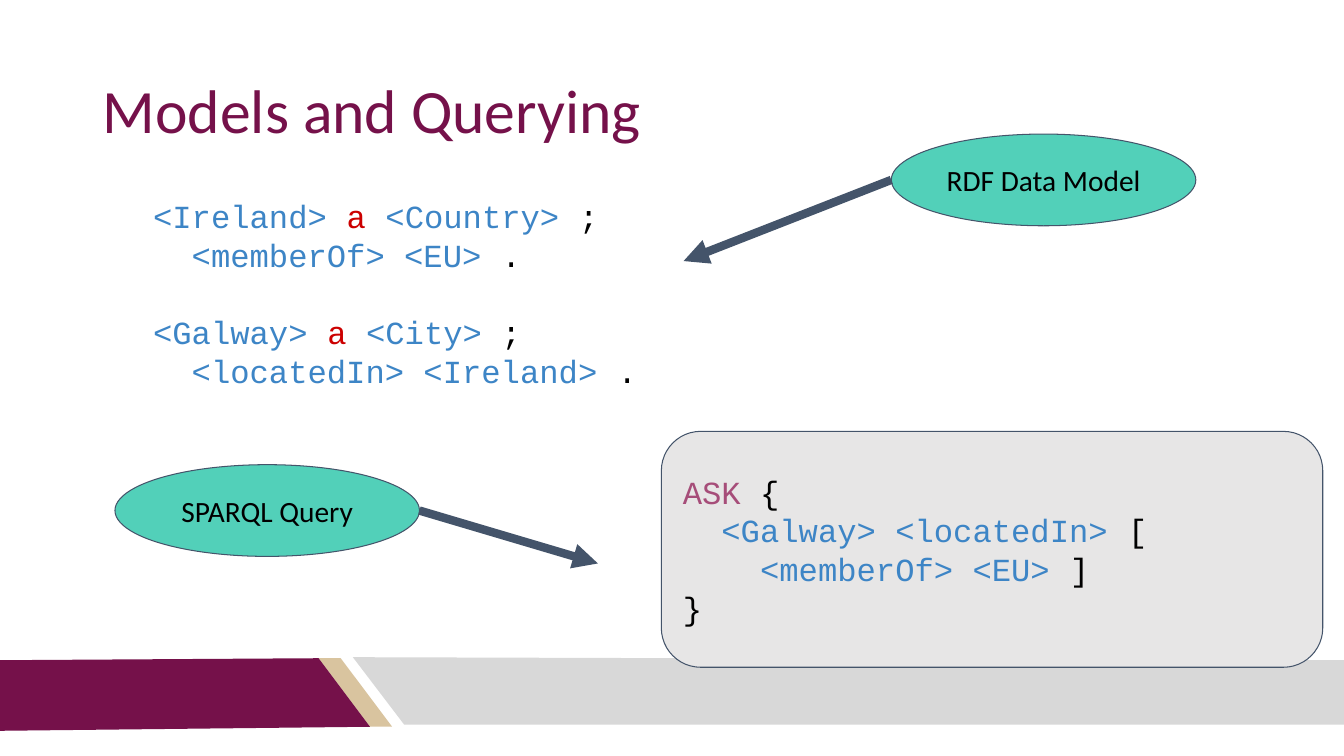
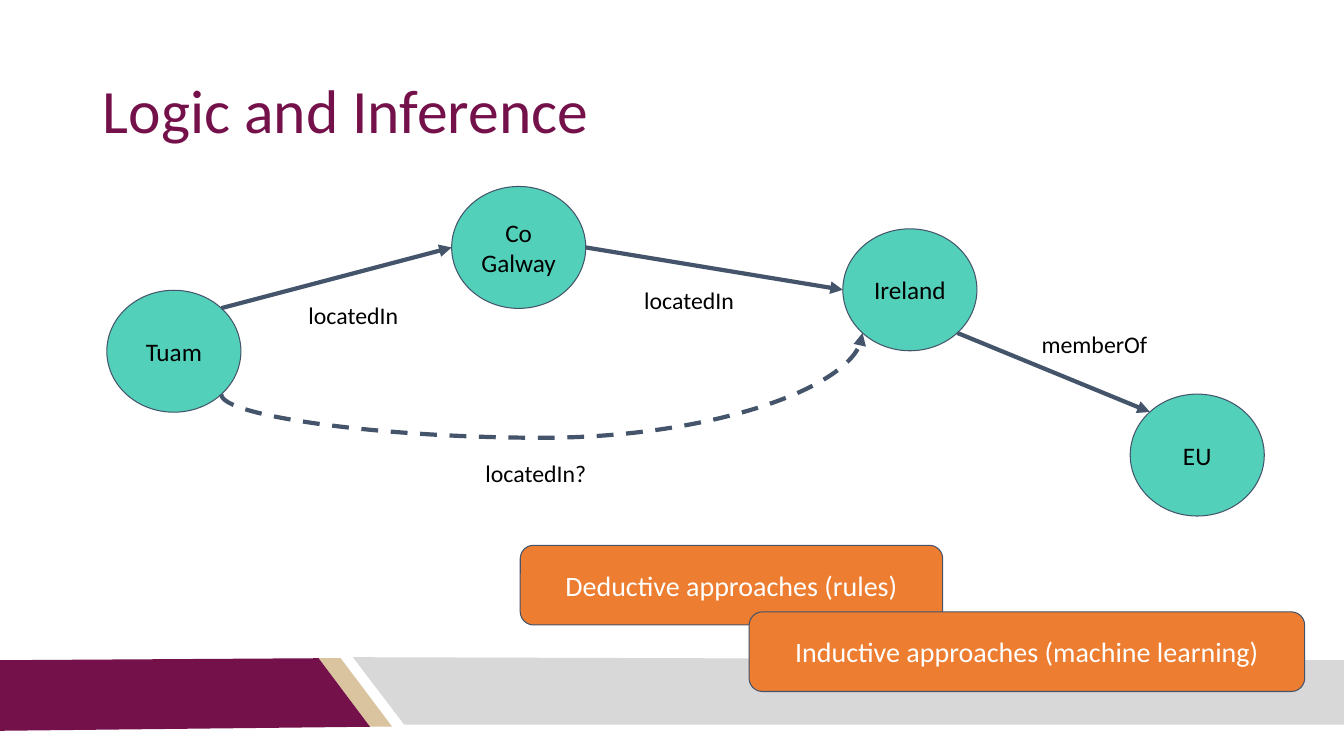
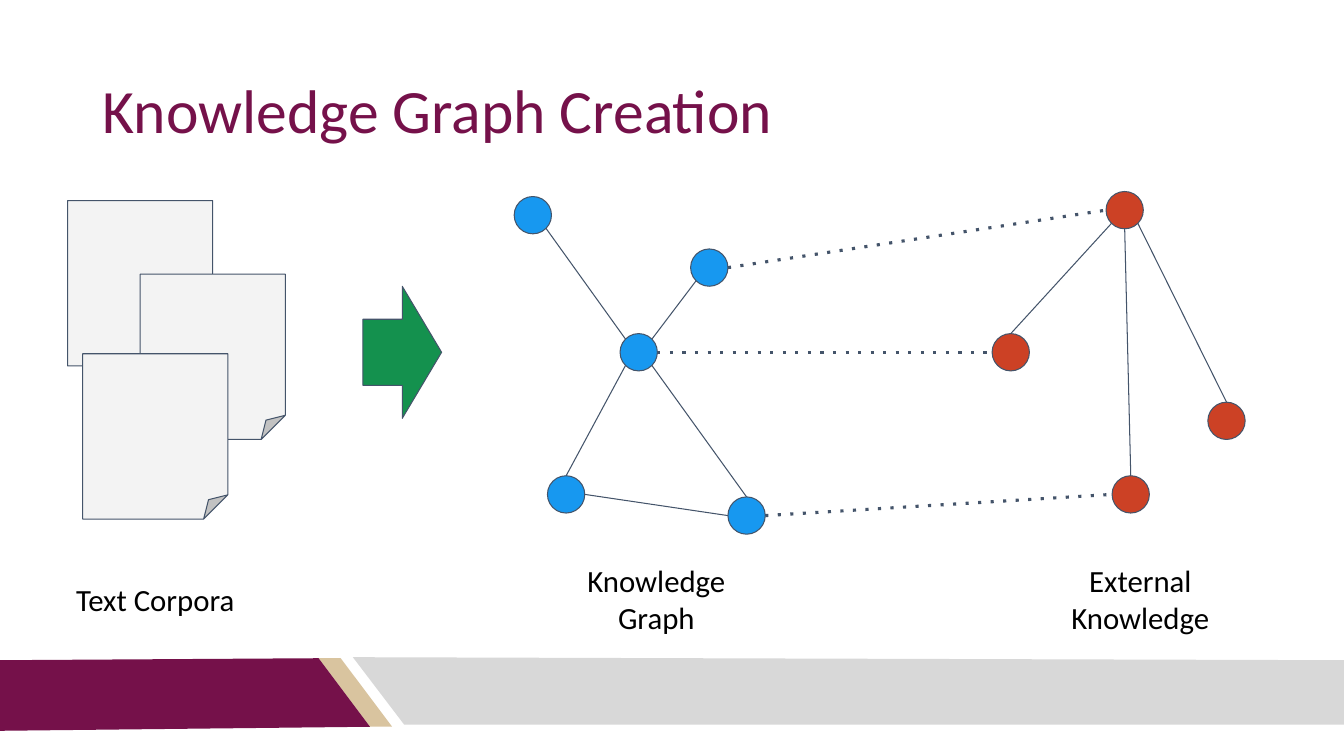
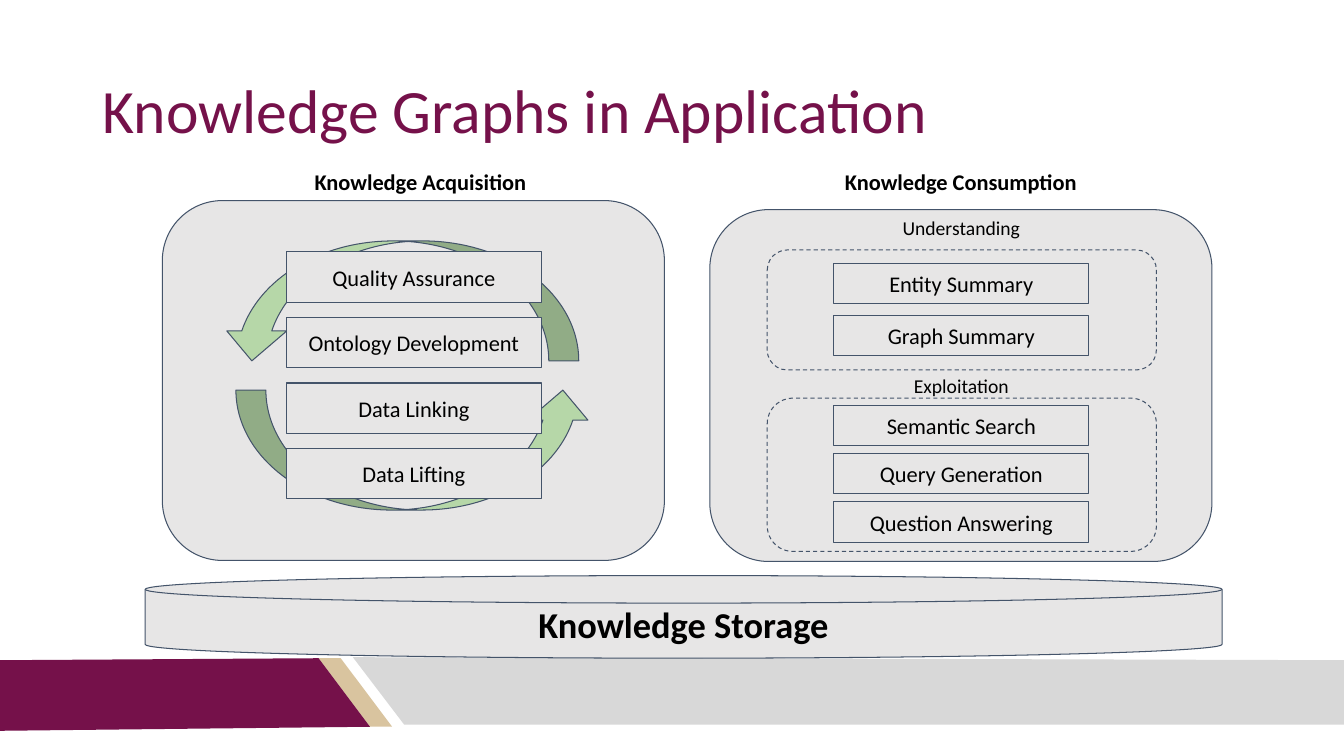
from math import cos, radians, sin
from typing import NamedTuple

from lxml.etree import SubElement
from pptx import Presentation
from pptx.dml.color import RGBColor
from pptx.enum.shapes import MSO_CONNECTOR, MSO_SHAPE
from pptx.enum.text import MSO_ANCHOR, MSO_AUTO_SIZE, PP_ALIGN
from pptx.oxml.ns import qn
from pptx.util import Inches, Pt

# Shared colours
PLUM, SAND, BAND_GREY = "75114A", "D9C49F", "D8D8D8"
SLATE, BLACK, WHITE = "44546A", "000000", "FFFFFF"
TEAL, ORANGE, PANEL_GREY, PAPER = "52D0B9", "ED7D31", "E7E6E6", "F3F3F3"
GREEN, LEAF, BLUE, BRICK = "14914E", "B6D7A8", "1798F0", "CC4125"
CODE_BLUE, CODE_RED, CODE_PINK = "3D85C6", "CC0000", "A64D79"

# Shared formats
FONT, CODE_FONT = "Calibri", "Courier New"
FRAME_FORMAT = {
    "word_wrap": True,
    "auto_size": MSO_AUTO_SIZE.NONE,
    "margin_left": Inches(0.1),
    "margin_right": Inches(0.1),
    "margin_top": Inches(0.1),
    "margin_bottom": Inches(0.1),
}
FOOTER_BANDS = [
    (SAND, [(3.16, 6.53), (3.38, 6.53), (3.89, 7.21), (3.67, 7.21)]),
    (PLUM, [(0, 6.55), (3.16, 6.53), (3.67, 7.21), (0, 7.25)]),
    (BAND_GREY, [(3.5, 6.52), (13.33, 6.55), (13.33, 7.19), (4.01, 7.19)]),
]

# Connection sites of an ellipse, counter-clockwise in steps of 45 degrees
(TOP, TOP_LEFT, LEFT, BOTTOM_LEFT,
 BOTTOM, BOTTOM_RIGHT, RIGHT, TOP_RIGHT) = range(8)


class Box(NamedTuple):
    left: float
    top: float
    width: float
    height: float

    def inner(self, x, y, width, height):
        """Return a box placed relative to this one."""
        return Box(self.left + x, self.top + y, width, height)

    def lengths(self):
        return [Inches(value) for value in self]


def color(hex_string):
    return RGBColor.from_string(hex_string)


def set_format(target, values):
    for name, value in values.items():
        setattr(target, name, value)


def paint(shape, fill, line=SLATE):
    """Set fill and line; None leaves either one out."""
    shape.shadow.inherit = False
    if fill:
        shape.fill.solid()
        shape.fill.fore_color.rgb = color(fill)
    else:
        shape.fill.background()
    if line:
        shape.line.color.rgb = color(line)
        shape.line.width = Pt(0.75)
    else:
        shape.line.fill.background()


def add_line_detail(shape, tag, **attributes):
    """Append a dash or an arrowhead to the line of a shape."""
    SubElement(shape.element.spPr.find(qn("a:ln")), qn(tag), attributes)


def write(shape, lines, size, font=FONT, bold=False,
          align=PP_ALIGN.CENTER, anchor=MSO_ANCHOR.MIDDLE):
    """Fill a shape with lines, each a list of (text, colour) runs."""
    frame = shape.text_frame
    set_format(frame, FRAME_FORMAT)
    frame.vertical_anchor = anchor
    for index, runs in enumerate(lines):
        paragraph = frame.add_paragraph() if index else frame.paragraphs[0]
        paragraph.alignment = align
        for text, hex_string in runs:
            run = paragraph.add_run()
            run.text = text
            set_format(run.font, {"name": font, "size": Pt(size), "bold": bold})
            run.font.color.rgb = color(hex_string)
    return frame


def add_shape(slide, kind, box, fill, text="", size=16, text_color=BLACK,
              bold=False):
    shape = slide.shapes.add_shape(kind, *box.lengths())
    paint(shape, fill)
    if text:
        write(shape, [[(text, text_color)]], size, bold=bold)
    return shape


def add_label(slide, box, text, size, bold=False):
    label = slide.shapes.add_textbox(*box.lengths())
    write(label, [[(text, BLACK)]], size, bold=bold, anchor=MSO_ANCHOR.TOP)


def site_point(shape, site):
    angle = radians(45 * site)
    x = shape.left + shape.width / 2 * (1 - sin(angle))
    y = shape.top + shape.height / 2 * (1 - cos(angle))
    return round(x), round(y)


def style_connector(connector, width, dash=None, arrow=False):
    connector.line.color.rgb = color(SLATE)
    connector.line.width = Pt(width)
    if dash:
        add_line_detail(connector, "a:prstDash", val=dash)
    if arrow:
        add_line_detail(connector, "a:tailEnd", type="triangle")
    SubElement(connector.element.spPr, qn("a:effectLst"))


def glue(connector, tag, shape, site):
    properties = connector.element.find(".//" + qn("p:cNvCxnSpPr"))
    SubElement(properties, qn(tag), id=str(shape.shape_id), idx=str(site))


def link(slide, start, start_site, end, end_site=None, **style):
    """Join an ellipse to another one, or to a point if there is no end site."""
    if end_site is None:
        end_point = [Inches(value) for value in end]
    else:
        end_point = site_point(end, end_site)
    connector = slide.shapes.add_connector(
        MSO_CONNECTOR.STRAIGHT, *site_point(start, start_site), *end_point)
    glue(connector, "a:stCxn", start, start_site)
    if end_site is not None:
        glue(connector, "a:endCxn", end, end_site)
    style_connector(connector, **style)


def link_below(slide, start, end, depth, **style):
    """Join two ellipses with a curve that dips below the start."""
    x1, y1 = site_point(start, BOTTOM_RIGHT)
    x2, y2 = site_point(end, BOTTOM_LEFT)
    width, height = y1 - y2, x2 - x1
    left = (x1 + x2 - width) // 2
    top = (y1 + y2 - height) // 2
    connector = slide.shapes.add_connector(
        MSO_CONNECTOR.CURVE, left, top, left + width, top + height)
    connector.rotation = 270
    geometry = connector.element.spPr.find(qn("a:prstGeom"))
    guides = geometry.find(qn("a:avLst"))
    if guides is None:
        guides = SubElement(geometry, qn("a:avLst"))
    bend = round(-100000 * Inches(depth) / width)
    SubElement(guides, qn("a:gd"), name="adj1", fmla=f"val {bend}")
    style_connector(connector, **style)


# Frame of every slide
def add_footer(slide):
    for fill, points in FOOTER_BANDS:
        start, *others = [(Inches(x), Inches(y)) for x, y in points]
        builder = slide.shapes.build_freeform(*start)
        builder.add_line_segments(others, close=True)
        paint(builder.convert_to_shape(), fill, line=None)


def new_slide(presentation, title):
    slide = presentation.slides.add_slide(presentation.slide_layouts[5])
    add_footer(slide)
    placeholder = slide.shapes.title
    box = dict(zip(("left", "top", "width", "height"),
                   Box(0.92, 0.4, 11.5, 1.45).lengths()))
    set_format(placeholder, box)
    frame = write(placeholder, [[(title, PLUM)]], 44, align=PP_ALIGN.LEFT)
    frame.paragraphs[0].line_spacing = 0.9
    return slide


# Slide 1: code samples with callouts
def add_callout(slide, box, text, site, target):
    bubble = add_shape(slide, MSO_SHAPE.OVAL, box, TEAL, text, 21)
    link(slide, bubble, site, target, width=6, arrow=True)


def build_models(presentation):
    slide = new_slide(presentation, "Models and Querying")
    code_format = {"size": 23, "font": CODE_FONT, "align": PP_ALIGN.LEFT}

    data = slide.shapes.add_textbox(*Box(1.42, 1.85, 6.24, 2.52).lengths())
    frame = write(data, [
        [("<Ireland> ", CODE_BLUE), ("a ", CODE_RED),
         ("<Country>", CODE_BLUE), (" ;", BLACK)],
        [("  <memberOf> <EU>", CODE_BLUE), (" .", BLACK)],
        [("<Galway> ", CODE_BLUE), ("a ", CODE_RED),
         ("<City>", CODE_BLUE), (" ;", BLACK)],
        [("  <locatedIn> <Ireland>", CODE_BLUE), (" .", BLACK)],
    ], anchor=MSO_ANCHOR.TOP, **code_format)
    frame.paragraphs[2].space_before = Pt(27.6)

    query = add_shape(slide, MSO_SHAPE.ROUNDED_RECTANGLE,
                      Box(6.56, 4.28, 6.56, 2.34), PANEL_GREY)
    write(query, [
        [("ASK", CODE_PINK), (" {", BLACK)],
        [("  <Galway> <locatedIn>", CODE_BLUE), (" [", BLACK)],
        [("    <memberOf> <EU>", CODE_BLUE), (" ]", BLACK)],
        [("}", BLACK)],
    ], **code_format)

    add_callout(slide, Box(8.84, 1.33, 3.02, 0.91), "RDF Data Model",
                LEFT, (6.78, 2.59))
    add_callout(slide, Box(1.14, 4.61, 3.02, 0.91), "SPARQL Query",
                RIGHT, (5.93, 5.59))


# Slide 2: chain of places and the inferred link
def add_place_graph(slide, box):
    places = {
        name: add_shape(slide, MSO_SHAPE.OVAL, box.inner(x, y, 1.33, 1.21),
                        TEAL, name, 18)
        for name, x, y in [("Tuam", 0, 1.03), ("Co Galway", 3.42, 0),
                           ("Ireland", 7.3, 0.42), ("EU", 10.15, 2.06)]
    }
    for start, start_site, end, end_site in [
        ("Tuam", TOP_RIGHT, "Co Galway", LEFT),
        ("Co Galway", RIGHT, "Ireland", LEFT),
        ("Ireland", BOTTOM_RIGHT, "EU", TOP_LEFT),
    ]:
        link(slide, places[start], start_site, places[end], end_site,
             width=3, arrow=True)
    link_below(slide, places["Tuam"], places["Ireland"], 0.43,
               width=3, dash="dash", arrow=True)
    for text, x, y in [("locatedIn", 1.78, 1.03), ("locatedIn", 5.11, 0.88),
                       ("memberOf", 9.13, 1.32), ("locatedIn?", 3.59, 2.6)]:
        add_label(slide, box.inner(x, y, 1.33, 0.49), text, 17)


def build_inference(presentation):
    slide = new_slide(presentation, "Logic and Inference")
    add_place_graph(slide, Box(1.06, 1.85, 11.48, 3.27))
    for text, box in [
        ("Deductive approaches (rules)", Box(5.16, 5.41, 4.19, 0.79)),
        ("Inductive approaches (machine learning)",
         Box(7.43, 6.07, 5.51, 0.79)),
    ]:
        add_shape(slide, MSO_SHAPE.ROUNDED_RECTANGLE, box, ORANGE, text, 20,
                  WHITE)


# Slide 3: from texts to linked graphs
def add_documents(slide, box):
    for x, y in [(0, 0), (0.72, 0.73), (0.15, 1.52)]:
        add_shape(slide, MSO_SHAPE.FOLDED_CORNER, box.inner(x, y, 1.44, 1.64),
                  PAPER)


def add_graph(slide, box, fill, positions, edges):
    nodes = [add_shape(slide, MSO_SHAPE.OVAL, box.inner(x, y, 0.37, 0.37), fill)
             for x, y in positions]
    for start, start_site, end, end_site in edges:
        link(slide, nodes[start], start_site, nodes[end], end_site, width=0.75)
    return nodes


def build_creation(presentation):
    slide = new_slide(presentation, "Knowledge Graph Creation")
    add_documents(slide, Box(0.67, 1.99, 2.16, 3.16))
    add_shape(slide, MSO_SHAPE.RIGHT_ARROW, Box(3.6, 2.84, 0.78, 1.31), GREEN)

    knowledge = add_graph(
        slide, Box(5.1, 1.95, 2.49, 3.35), BLUE,
        [(0, 0), (1.75, 0.52), (1.05, 1.36), (0.33, 2.77), (2.12, 2.98)],
        [(2, TOP_LEFT, 0, BOTTOM_RIGHT), (2, TOP_RIGHT, 1, BOTTOM_LEFT),
         (2, BOTTOM_LEFT, 3, TOP), (2, BOTTOM_RIGHT, 4, TOP),
         (3, RIGHT, 4, LEFT)])
    external = add_graph(
        slide, Box(9.84, 1.9, 2.51, 3.19), BRICK,
        [(1.13, 0), (0, 1.41), (2.14, 2.09), (1.19, 2.82)],
        [(0, BOTTOM_LEFT, 1, TOP), (0, BOTTOM_RIGHT, 2, TOP),
         (0, BOTTOM, 3, TOP)])
    for start, end in [(1, 0), (2, 1), (4, 3)]:
        link(slide, knowledge[start], RIGHT, external[end], LEFT,
             width=2.25, dash="dot")

    for text, box in [("Text Corpora", Box(0.57, 5.66, 1.94, 0.57)),
                      ("Knowledge Graph", Box(5.54, 5.47, 1.94, 0.94)),
                      ("External Knowledge", Box(10.34, 5.47, 1.94, 0.94))]:
        add_label(slide, box, text, 22)


# Slide 4: acquisition, consumption and storage
def add_stack(slide, box, texts, pitch):
    """Stack equal boxes, the first of which is given."""
    for index, text in enumerate(texts):
        add_shape(slide, MSO_SHAPE.RECTANGLE,
                  box.inner(0, index * pitch, box.width, box.height),
                  PANEL_GREY, text)


def add_acquisition(slide, box):
    add_shape(slide, MSO_SHAPE.ROUNDED_RECTANGLE, box, PANEL_GREY)
    for x, y, rotation in [(0.73, 1.88, 0), (0.59, 0.4, 180)]:
        arrow = add_shape(slide, MSO_SHAPE.CURVED_UP_ARROW,
                          box.inner(x, y, 3.54, 1.19), LEAF)
        arrow.rotation = rotation
    add_stack(slide, box.inner(1.23, 0.51, 2.53, 0.5),
              ["Quality Assurance", "Ontology Development",
               "Data Linking", "Data Lifting"], 0.65)
    add_label(slide, box.inner(0.79, -0.42, 3.54, 0.47),
              "Knowledge Acquisition", 16, bold=True)


def add_consumption(slide, box):
    add_shape(slide, MSO_SHAPE.ROUNDED_RECTANGLE, box, PANEL_GREY)
    for heading, rise, y, height, first, pitch, texts in [
        ("Understanding", 0.44, 0.4, 1.19, 0.13, 0.52,
         ["Entity Summary", "Graph Summary"]),
        ("Exploitation", 0.34, 1.87, 1.52, 0.07, 0.48,
         ["Semantic Search", "Query Generation", "Question Answering"]),
    ]:
        group = box.inner(0.57, y, 3.86, height)
        outline = add_shape(slide, MSO_SHAPE.ROUNDED_RECTANGLE, group, None)
        add_line_detail(outline, "a:prstDash", val="dash")
        add_stack(slide, group.inner(0.66, first, 2.53, 0.4), texts, pitch)
        add_label(slide, group.inner(0.66, -rise, 2.53, 0.44), heading, 14)
    add_label(slide, box.inner(0.72, -0.51, 3.54, 0.47),
              "Knowledge Consumption", 16, bold=True)


def build_application(presentation):
    slide = new_slide(presentation, "Knowledge Graphs in Application")
    add_shape(slide, MSO_SHAPE.FLOWCHART_MAGNETIC_DISK,
              Box(1.44, 5.71, 10.68, 0.82), PANEL_GREY,
              "Knowledge Storage", 26, bold=True)
    add_acquisition(slide, Box(1.61, 1.99, 4.98, 3.57))
    add_consumption(slide, Box(7.04, 2.08, 4.98, 3.49))


def main():
    presentation = Presentation()
    presentation.slide_width = Inches(13.33)
    presentation.slide_height = Inches(7.5)
    for build in (build_models, build_inference, build_creation,
                  build_application):
        build(presentation)
    presentation.save("out.pptx")


if __name__ == "__main__":
    main()
